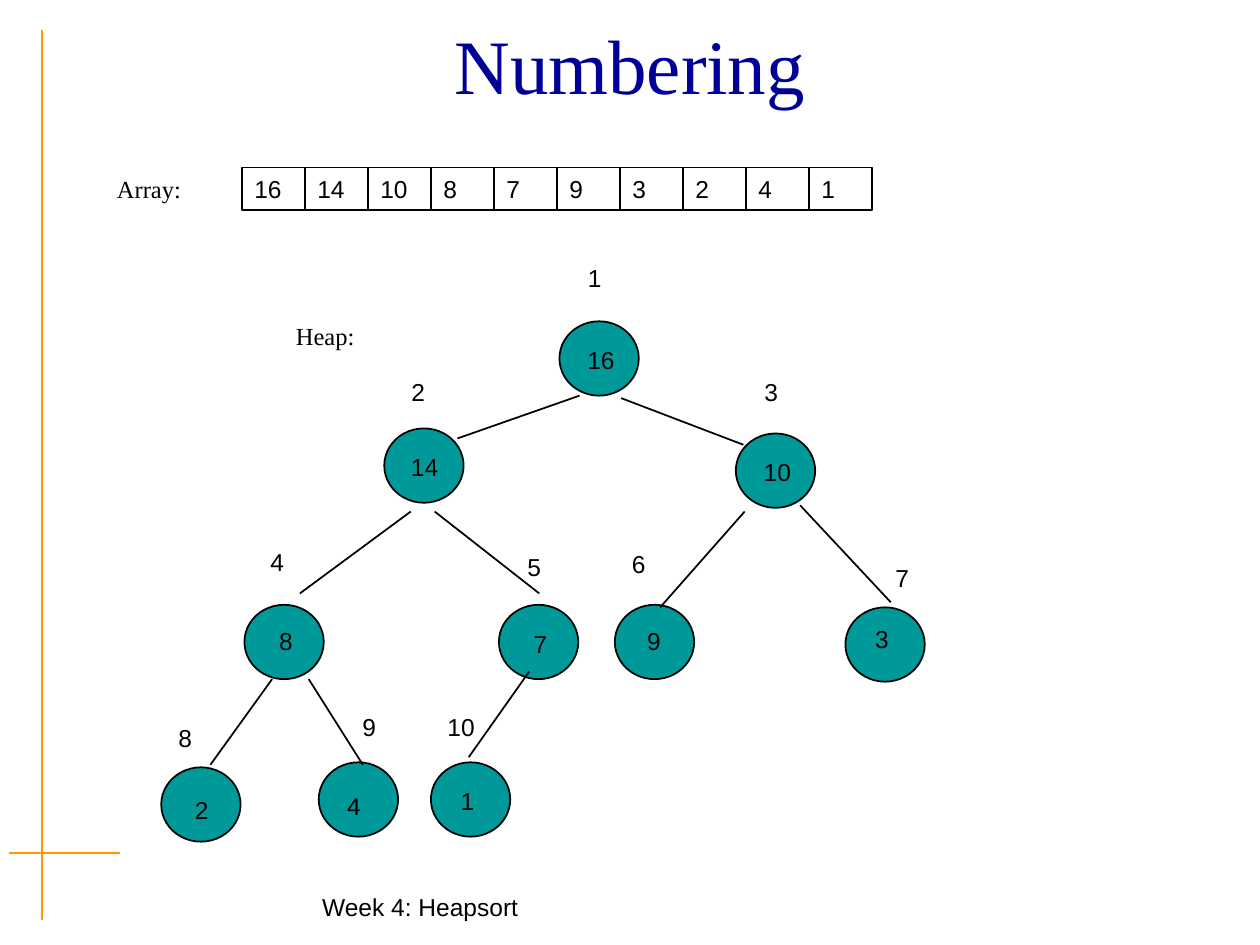
from lxml import etree
from pptx import Presentation
from pptx.dml.color import RGBColor
from pptx.enum import shapes, text
from pptx.oxml.ns import qn
from pptx.util import Inches, Pt

SERIF, SANS = "Times New Roman", "Arial"
BLACK, TEAL, ORANGE, NAVY = "000000", "009999", "FF9900", "000099"

ARRAY = [16, 14, 10, 8, 7, 9, 3, 2, 4, 1]
# In heap order: node corner, value corner, number corner
NODES = [
    ((4.44, 2.55), (4.5, 2.69), (4.48, 2.04)),
    ((3.05, 3.4), (3.1, 3.54), (3.08, 2.94)),
    ((5.84, 3.44), (5.9, 3.58), (5.88, 2.94)),
    ((1.94, 4.8), (2, 4.92), (1.96, 4.29)),
    ((3.96, 4.8), (4.02, 4.94), (4, 4.33)),
    ((4.88, 4.8), (4.92, 4.92), (4.83, 4.31)),
    ((6.71, 4.82), (6.73, 4.9), (6.92, 4.42)),
    ((1.28, 6.09), (1.33, 6.26), (1.23, 5.69)),
    ((2.53, 6.05), (2.54, 6.23), (2.69, 5.6)),
    ((3.42, 6.05), (3.44, 6.19), (3.42, 5.6)),
]
# Parent end, child end
EDGES = [
    ((4.6, 3.14), (3.63, 3.48)),
    ((4.93, 3.16), (5.9, 3.53)),
    ((3.26, 4.06), (2.38, 4.71)),
    ((3.45, 4.06), (4.28, 4.71)),
    ((5.91, 4.06), (5.24, 4.82)),
    ((6.35, 4.01), (7.07, 4.78)),
    ((2.16, 5.39), (1.67, 6.07)),
    ((2.45, 5.39), (2.88, 6.07)),
    ((4.2, 5.33), (3.72, 6.01)),
]
RULES = [((0.33, 0.24), (0.33, 7.3)), ((0.07, 6.77), (0.95, 6.77))]
NODE, VALUE, NUMBER = (0.63, 0.59), (0.54, 0.33), (0.48, 0.33)
ROW_X, ROW_Y, CELL = 1.92, 1.33, (0.5, 0.34)

deck = Presentation()
deck.slide_width, deck.slide_height = Inches(10), Inches(7.5)
slide = deck.slides.add_slide(deck.slide_layouts[6])


def color(code):
    return RGBColor.from_string(code)


def inches(*spots):
    return [Inches(n) for spot in spots for n in spot]


def write(shape, words, size=14, font=SANS, ink=BLACK, center=False, middle=False):
    frame = shape.text_frame
    frame.word_wrap = True
    frame.vertical_anchor = text.MSO_ANCHOR.MIDDLE if middle else text.MSO_ANCHOR.TOP
    par = frame.paragraphs[0]
    par.alignment = text.PP_ALIGN.CENTER if center else text.PP_ALIGN.LEFT
    run = par.add_run()
    run.text = str(words)
    run.font.size, run.font.name = Pt(size), font
    run.font.color.rgb = color(ink)


def label(words, spot, area, **style):
    write(slide.shapes.add_textbox(*inches(spot, area)), words, **style)


def draw(kind, spot, area, fill=None):
    shape = slide.shapes.add_shape(kind, *inches(spot, area))
    shape.shadow.inherit = False
    if fill:
        shape.fill.solid()
        shape.fill.fore_color.rgb = color(fill)
    else:
        shape.fill.background()
    shape.line.color.rgb = color(BLACK)
    shape.line.width = Pt(1)
    return shape


def link(start, end, ink=BLACK, width=1):
    line = slide.shapes.add_connector(shapes.MSO_CONNECTOR.STRAIGHT, *inches(start, end))
    line.line.color.rgb = color(ink)
    line.line.width = Pt(width)
    etree.SubElement(line._element.spPr, qn("a:effectLst"))


for start, end in RULES:
    link(start, end, ink=ORANGE, width=1.19)
label("Week 4: Heapsort", (0.88, 7.03), (4.91, 0.34), center=True)
label("Numbering", (0.5, 0.17), (9, 0.67), size=44, font=SERIF, ink=NAVY,
      center=True, middle=True)

label("Array:", (0.83, ROW_Y), (1.08, 0.34), font=SERIF)
for i, value in enumerate(ARRAY):
    cell = draw(shapes.MSO_SHAPE.RECTANGLE, (ROW_X + i * CELL[0], ROW_Y), CELL)
    write(cell, value)

label("Heap:", (2.25, 2.5), (1.08, 0.34), font=SERIF)
for number, (value, spots) in enumerate(zip(ARRAY, NODES), 1):
    node, inner, outer = spots
    draw(shapes.MSO_SHAPE.OVAL, node, NODE, TEAL)
    label(value, inner, VALUE, center=True)
    label(number, outer, NUMBER, center=True)
for start, end in EDGES:
    link(start, end)

deck.save("out.pptx")
